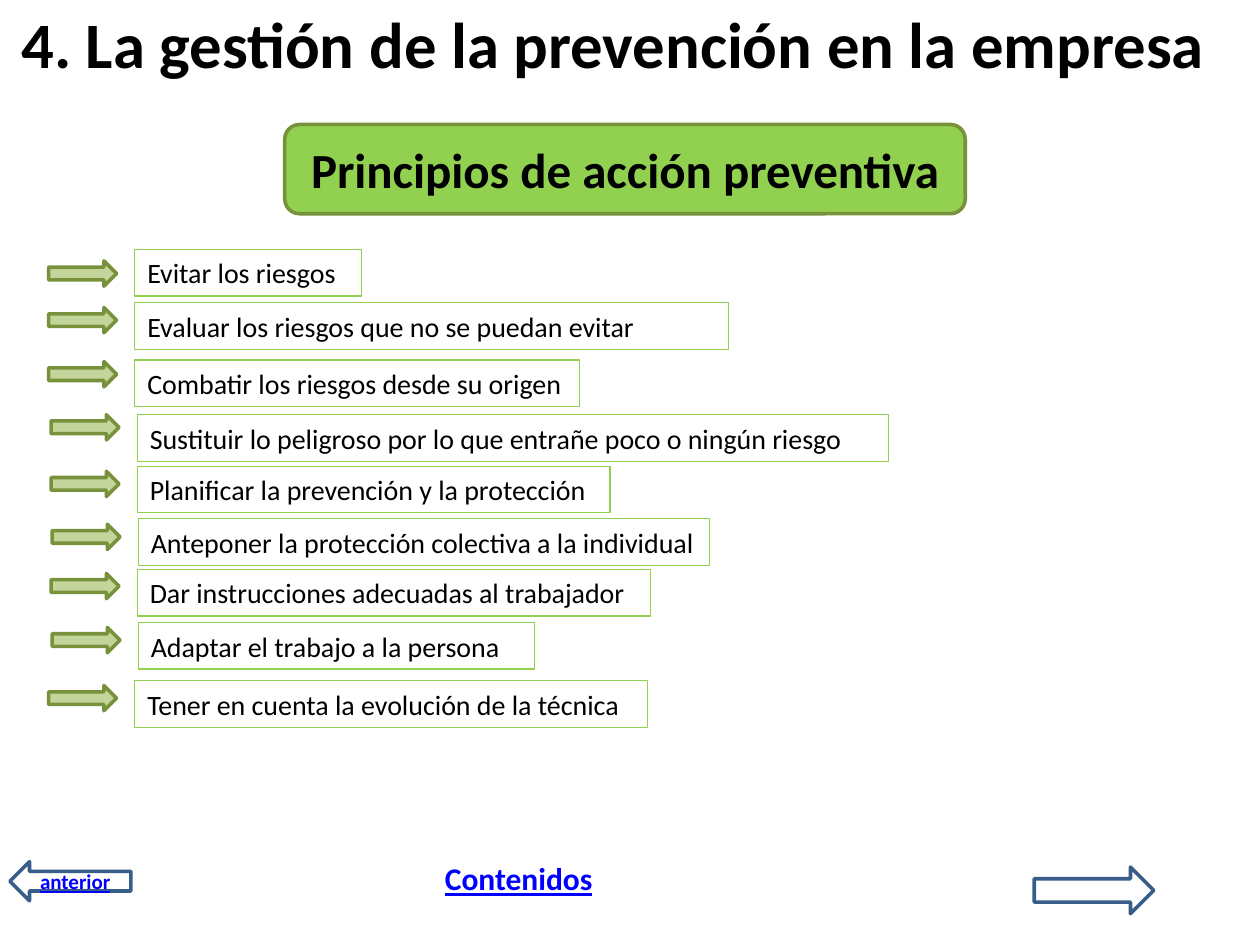
from pptx import Presentation
from pptx.dml.color import RGBColor
from pptx.enum.shapes import MSO_SHAPE
from pptx.enum.text import MSO_ANCHOR, PP_ALIGN
from pptx.util import Cm, Pt

RECTANGLE = MSO_SHAPE.RECTANGLE
ROUNDED = MSO_SHAPE.ROUNDED_RECTANGLE
RIGHT_ARROW = MSO_SHAPE.RIGHT_ARROW
LEFT_ARROW = MSO_SHAPE.LEFT_ARROW
MIDDLE = MSO_ANCHOR.MIDDLE
LEFT = PP_ALIGN.LEFT
CENTER = PP_ALIGN.CENTER

BLACK = RGBColor(0x00, 0x00, 0x00)
LINK_BLUE = RGBColor(0x00, 0x00, 0xFF)
NAVY = RGBColor(0x38, 0x5D, 0x89)
GREEN = RGBColor(0x92, 0xD0, 0x50)
PALE_GREEN = RGBColor(0xC3, 0xD5, 0x9B)
OLIVE = RGBColor(0x77, 0x92, 0x3B)

FONT = "Calibri"
THICK = 2.04
THIN = 0.72
ARROW_OFFSET = 1.74

PRINCIPLES = [
    ("Evitar los riesgos", 2.72, 5.03, 4.57, 5.26),
    ("Evaluar los riesgos que no se puedan evitar", 2.72, 6.1, 11.96, 6.2),
    ("Combatir los riesgos desde su origen", 2.72, 7.26, 8.97, 7.29),
    ("Sustituir lo peligroso por lo que entrañe poco o ningún riesgo", 2.77, 8.36, 15.14, 8.36),
    ("Planificar la prevención y la protección", 2.77, 9.4, 9.53, 9.5),
    ("Anteponer la protección colectiva a la individual", 2.79, 10.46, 11.51, 10.57),
    ("Dar instrucciones adecuadas al trabajador", 2.77, 11.48, 10.34, 11.56),
    ("Adaptar el trabajo a la persona", 2.79, 12.55, 7.98, 12.65),
    ("Tener en cuenta la evolución de la técnica", 2.72, 13.72, 10.34, 13.82),
]


def write(shape, text, size, color=BLACK, bold=False, underline=False, align=LEFT, indent=0):
    frame = shape.text_frame
    frame.margin_left = Cm(indent)
    frame.margin_right = frame.margin_top = frame.margin_bottom = 0
    frame.vertical_anchor = MIDDLE
    frame.word_wrap = False
    para = frame.paragraphs[0]
    para.text = text
    para.alignment = align
    font = para.font
    font.name = FONT
    font.size = Pt(size)
    font.bold = bold
    font.underline = underline
    font.color.rgb = color


def add_label(page, left, top, width, height, text, size, **style):
    box = page.shapes.add_textbox(Cm(left), Cm(top), Cm(width), Cm(height))
    write(box, text, size, bold=True, **style)


def add_outlined(page, kind, left, top, width, height, line, weight, fill=None):
    shape = page.shapes.add_shape(kind, Cm(left), Cm(top), Cm(width), Cm(height))
    shape.shadow.inherit = False
    shape.line.color.rgb = line
    shape.line.width = Pt(weight)
    if fill is None:
        shape.fill.background()
    else:
        shape.fill.solid()
        shape.fill.fore_color.rgb = fill
    return shape


def add_principle(page, text, left, top, width, arrow_top):
    add_outlined(page, RIGHT_ARROW, left - ARROW_OFFSET, arrow_top, 1.37, 0.51,
                 OLIVE, THICK, PALE_GREEN)
    box = add_outlined(page, RECTANGLE, left, top, width, 0.94, GREEN, THIN)
    write(box, text, 16, indent=0.25)


def add_navigation(page):
    previous = add_outlined(page, LEFT_ARROW, 0.2, 17.37, 2.44, 0.79, NAVY, THICK)
    write(previous, "anterior", 12, LINK_BLUE, bold=True, underline=True, align=CENTER)
    add_label(page, 8.97, 17.35, 3.05, 0.71, "Contenidos", 18,
              color=LINK_BLUE, underline=True)
    add_outlined(page, RIGHT_ARROW, 20.85, 17.48, 2.41, 0.94, NAVY, THICK)


def main():
    deck = Presentation()
    deck.slide_width = Cm(25.4)
    deck.slide_height = Cm(19.05)
    page = deck.slides.add_slide(deck.slide_layouts[6])

    add_label(page, 0.43, 0.05, 23.95, 1.63,
              "4. La gestión de la prevención en la empresa", 37)
    banner = add_outlined(page, ROUNDED, 5.74, 2.51, 13.72, 1.8, OLIVE, THICK, GREEN)
    write(banner, "Principios de acción preventiva", 28, bold=True, align=CENTER)
    for principle in PRINCIPLES:
        add_principle(page, *principle)
    add_navigation(page)

    deck.save("out.pptx")


if __name__ == "__main__":
    main()
